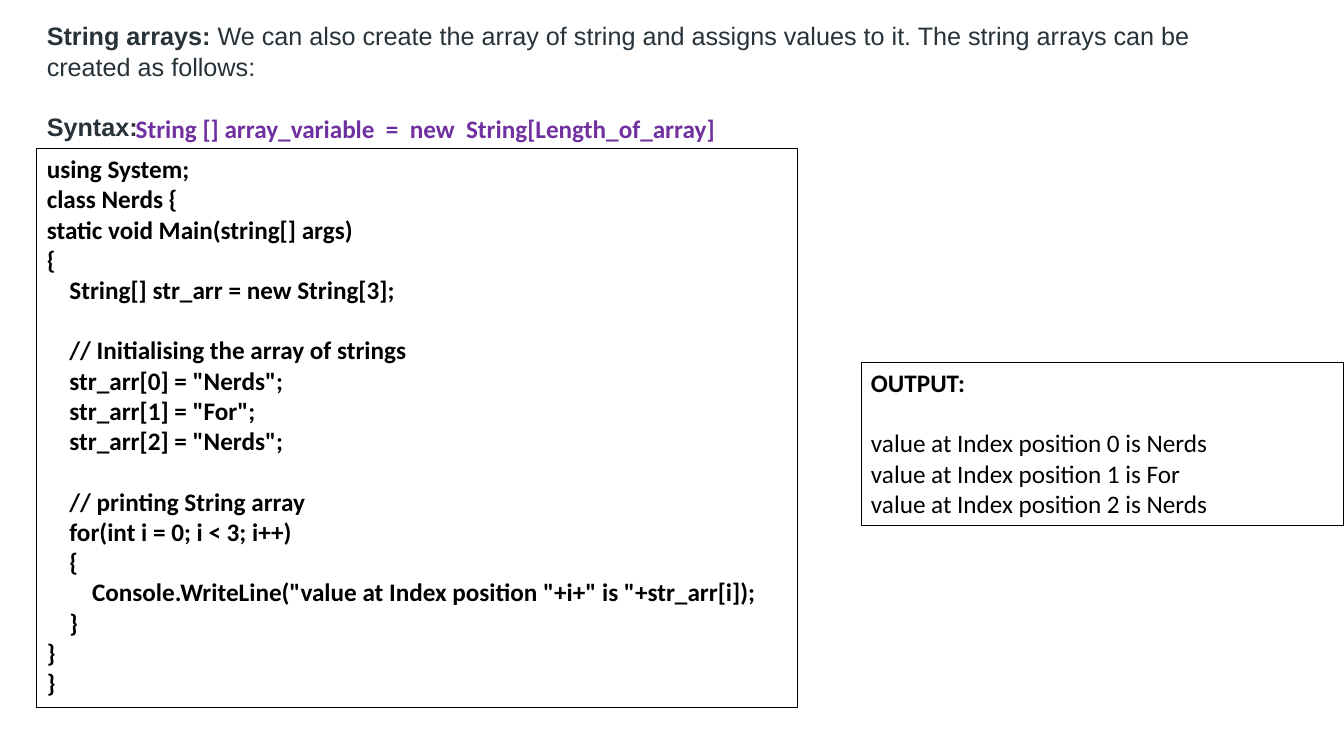
from pptx import Presentation
from pptx import util as u
from pptx.dml.color import RGBColor
from pptx.enum import shapes, text

COLORS = {"black": "000000", "slate": "273239", "purple": "7030A0"}
LINE = 21.6  # height of one text line, in points
INDENT = 0.57  # one level of code indentation, in cm

# (indentation level, code, blank lines above)
CODE = [
    (0, "using System;", 0),
    (0, "class Nerds {", 0),
    (0, "static void Main(string[] args)", 0),
    (0, "{", 0),
    (1, "String[] str_arr = new String[3];", 0),
    (1, "// Initialising the array of strings", 1),
    (1, 'str_arr[0] = "Nerds";', 0),
    (1, 'str_arr[1] = "For";', 0),
    (1, 'str_arr[2] = "Nerds";', 0),
    (1, "// printing String array", 1),
    (1, "for(int i = 0; i < 3; i++)", 0),
    (1, "{", 0),
    (2, 'Console.WriteLine("value at Index position "+i+" is "+str_arr[i]);', 0),
    (1, "}", 0),
    (0, "}", 0),
    (0, "}", 0),
]
OUTPUT = ["Nerds", "For", "Nerds"]


class SlideBuilder:
    def __init__(self, slide, size=18):
        self.slide = slide
        self.size = size

    def prepare(self, sp):
        tf = sp.text_frame
        tf.word_wrap = True
        tf.vertical_anchor = text.MSO_ANCHOR.TOP
        return tf

    def textbox(self, *box):
        return self.prepare(self.slide.shapes.add_textbox(*map(u.Cm, box)))

    def frame(self, *box, width):
        """Add an unfilled, black-outlined rectangle and return its text frame."""
        sp = self.slide.shapes.add_shape(shapes.MSO_SHAPE.RECTANGLE, *map(u.Cm, box))
        sp.shadow.inherit = False
        sp.fill.background()
        sp.line.color.rgb = RGBColor.from_string(COLORS["black"])
        sp.line.width = u.Pt(width)
        return self.prepare(sp)

    def paragraph(self, tf, runs, font="Calibri", color="black", level=0, gap=0, spacing=None):
        """Add a paragraph of (text, bold) runs, with gap blank lines above it."""
        first = tf.paragraphs[0]
        p = tf.add_paragraph() if first.runs else first
        p.alignment = text.PP_ALIGN.LEFT
        p.space_before = u.Pt(gap * LINE)
        if spacing:
            p.line_spacing = u.Pt(spacing)
        if level:
            pPr = p._p.get_or_add_pPr()
            pPr.set("marL", str(u.Cm(level * INDENT)))
            pPr.set("indent", "0")
        for words, bold in runs:
            r = p.add_run()
            r.text = words
            r.font.name = font
            r.font.size = u.Pt(self.size)
            r.font.bold = bold
            r.font.color.rgb = RGBColor.from_string(COLORS[color])


def main():
    prs = Presentation()
    prs.slide_width, prs.slide_height = u.Cm(33.87), u.Cm(19.05)
    builder = SlideBuilder(prs.slides.add_slide(prs.slide_layouts[6]))

    intro = builder.textbox(0.93, 0.4, 31.07, 3.33)
    arial = {"font": "Arial", "color": "slate", "spacing": LINE}
    builder.paragraph(intro, [
        ("String arrays: ", True),
        ("We can also create the array of string and assigns values to it. "
         "The string arrays can be created as follows:", False),
    ], **arial)
    builder.paragraph(intro, [("Syntax:", True)], gap=1, **arial)

    syntax = builder.textbox(3.17, 2.72, 16.94, 1.02)
    builder.paragraph(
        syntax, [("String [] array_variable  =  new  String[Length_of_array]", True)], color="purple")

    code = builder.frame(0.93, 3.74, 19.18, 14.1, width=0.75)
    for level, line, gap in CODE:
        builder.paragraph(code, [(line, True)], level=level, gap=gap)

    output = builder.frame(21.7, 9.13, 12.15, 4.11, width=0.25)
    builder.paragraph(output, [("OUTPUT:", True)])
    for i, value in enumerate(OUTPUT):
        builder.paragraph(
            output, [(f"value at Index position {i} is {value}", False)], gap=int(i == 0))

    prs.save("out.pptx")


if __name__ == "__main__":
    main()
